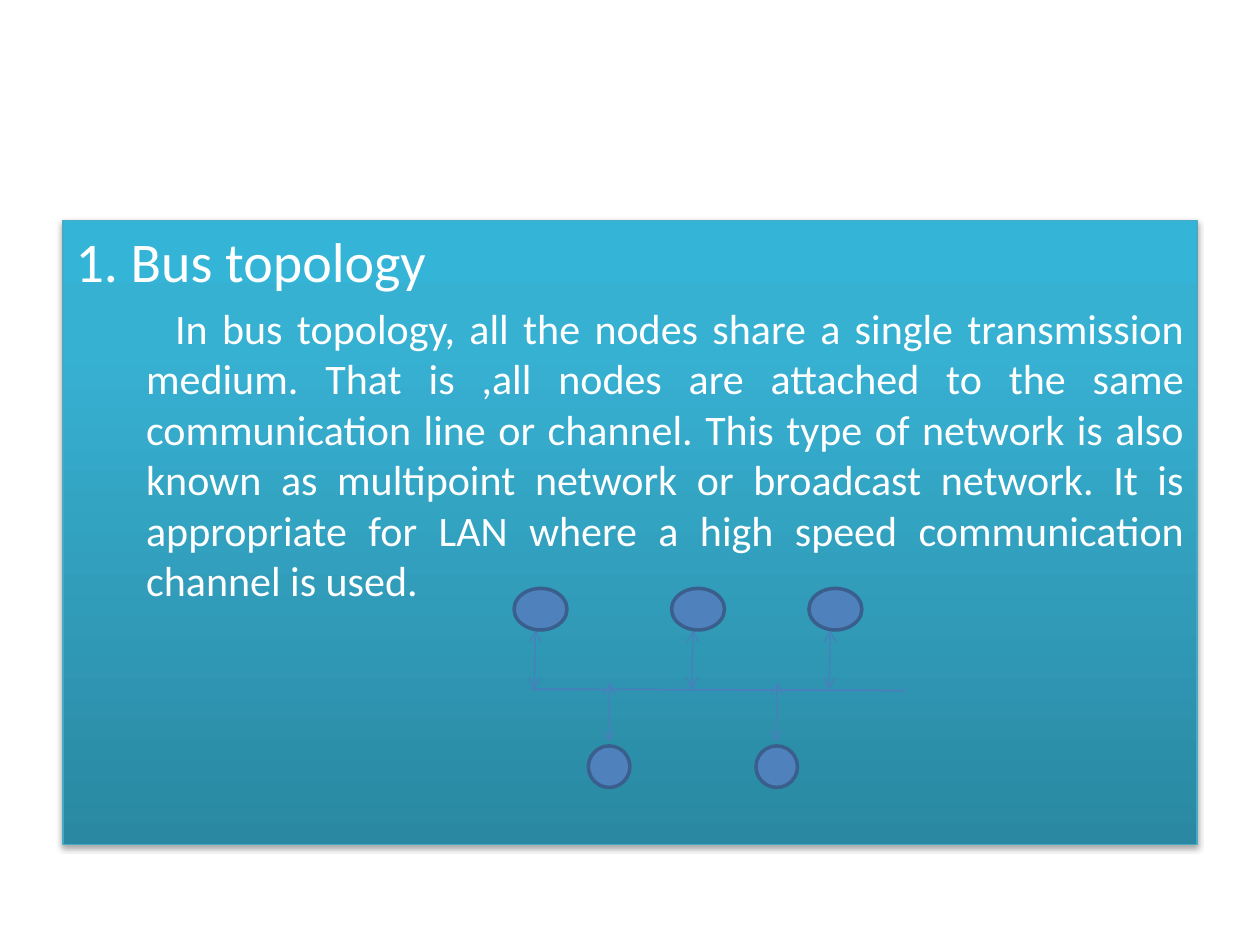
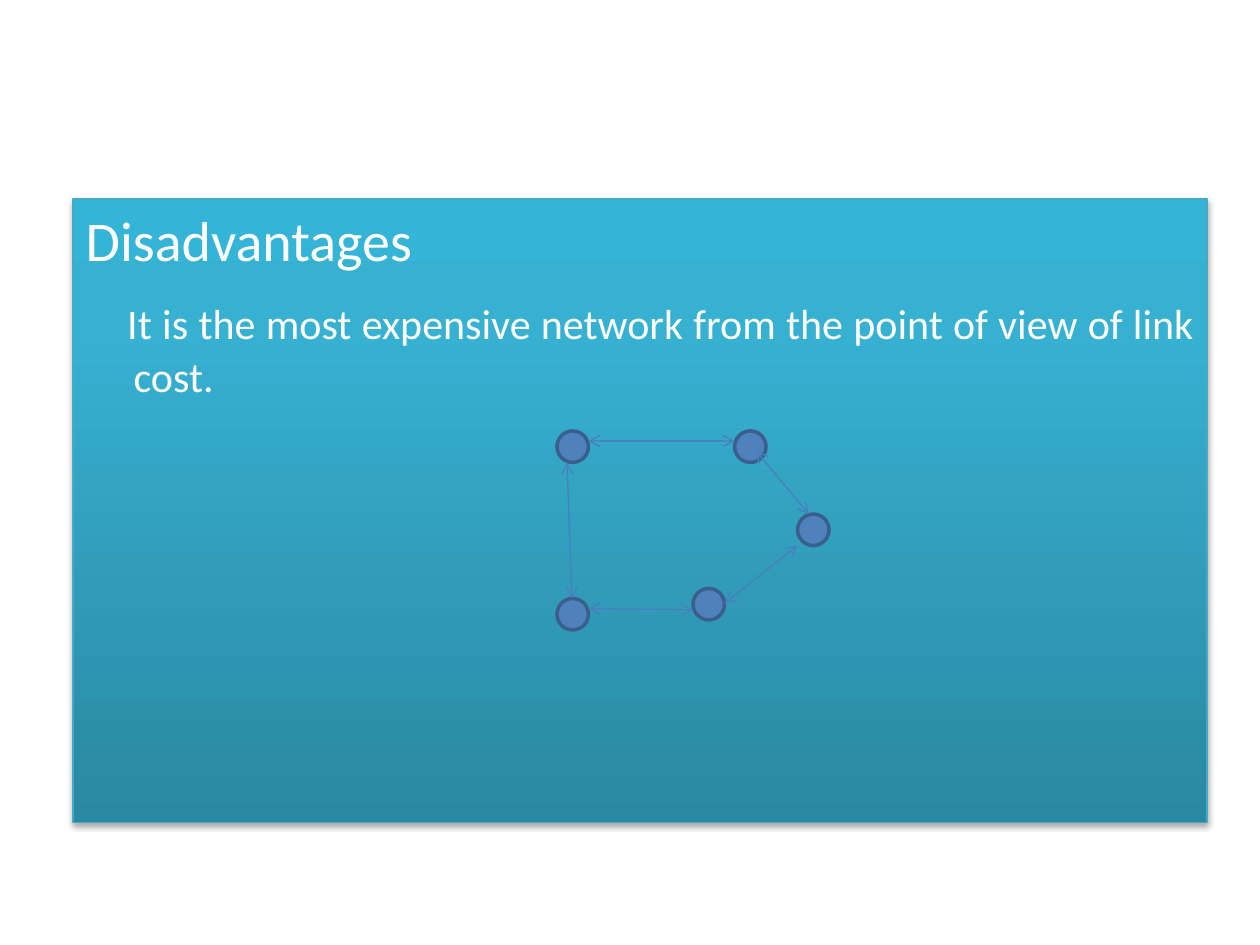
import pptx
import pptx.util
import pptx.dml.color
import pptx.enum.shapes
import pptx.enum.text
import pptx.oxml
import pptx.oxml.ns

Inches = pptx.util.Inches
Pt = pptx.util.Pt
SPACE = pptx.oxml.ns.nsdecls("a")
FULL = pptx.enum.text.PP_ALIGN.JUSTIFY

FONT = "Calibri"
WHITE = "FFFFFF"
NODE = "4F81BD"
RIM = "3A5F8C"
LINK = "4B7EBC"
EDGE = "46AAC5"
SHADES = [(0, "2A88A2"), (80, "37B1D2"), (100, "34B4D6")]
WIDE, TALL = 9, 4.95


def tint(code):
    return pptx.dml.color.RGBColor.from_string(code)


def node(tag, inner="", **attrs):
    text = " ".join(f'{key}="{value}"' for key, value in attrs.items())
    return pptx.oxml.parse_xml(f"<a:{tag} {SPACE} {text}>{inner}</a:{tag}>")


def stroke(line, code, width):
    line.color.rgb = tint(code)
    line.width = Pt(width)


def write(para, text, size, margin, indent, align=None, before=None, lead=None):
    props = para._p.get_or_add_pPr()
    props.set("marL", str(Inches(margin)))
    props.set("indent", str(Inches(indent)))
    para.alignment = align
    if before is not None:
        para.space_before = Pt(before)
    if lead is not None:
        para.line_spacing = lead
    props.append(node("buNone"))
    run = para.add_run()
    run.text = text
    run.font.size = Pt(size)
    run.font.name = FONT
    run.font.color.rgb = tint(WHITE)


def panel(slide, left, top):
    title = slide.shapes.title
    title.element.getparent().remove(title.element)
    body = slide.placeholders[1]
    body.left, body.top = Inches(left), Inches(top)
    body.width, body.height = Inches(WIDE), Inches(TALL)
    stops = "".join(
        f'<a:gs pos="{pos * 1000}"><a:srgbClr val="{code}"/></a:gs>'
        for pos, code in SHADES)
    props = body.element.spPr
    props.append(node("gradFill", f'<a:gsLst>{stops}</a:gsLst><a:lin ang="16200000" scaled="0"/>',
                      rotWithShape=1))
    stroke(body.line, EDGE, 0.75)
    shade = (f'<a:outerShdw blurRad="{Pt(3.1)}" dist="{Pt(1.8)}" dir="5400000" rotWithShape="0">'
             '<a:srgbClr val="000000"><a:alpha val="35000"/></a:srgbClr></a:outerShdw>')
    props.append(node("effectLst", shade))
    return body.text_frame


def dot(slide, left, top, width, height):
    shape = slide.shapes.add_shape(
        pptx.enum.shapes.MSO_SHAPE.FLOWCHART_CONNECTOR,
        Inches(left), Inches(top), Inches(width), Inches(height))
    shape.shadow.inherit = False
    shape.fill.solid()
    shape.fill.fore_color.rgb = tint(NODE)
    stroke(shape.line, RIM, 2)


def link(slide, start, end, heads=True, width=0.75):
    wire = slide.shapes.add_connector(
        pptx.enum.shapes.MSO_CONNECTOR.STRAIGHT,
        Inches(start[0]), Inches(start[1]), Inches(end[0]), Inches(end[1]))
    stroke(wire.line, LINK, width)
    if heads:
        for tag in ("headEnd", "tailEnd"):
            wire.line._ln.append(node(tag, type="arrow"))
    wire.element.spPr.append(node("effectLst"))


def bus(slide, left, top):
    link(slide, (left + 0.14, top + 0.8), (left + 3.11, top + 0.81), heads=False, width=1)
    rows = [((0, 1.25, 2.34), 0, 0.42, 0.33), ((0.59, 1.92), 1.25, 0.33, 0.75)]
    for spots, drop, width, start in rows:
        for spot in spots:
            mid = left + spot + 0.17
            link(slide, (mid, top + start), (mid - 0.01, top + start + 0.47))
            dot(slide, left + spot, top + drop, width, 0.33)


def ring(slide, left, top):
    for x, y in [(0, 0), (1.41, 0), (0, 1.33), (1.91, 0.66), (1.08, 1.25)]:
        dot(slide, left + x, top + y, 0.25, 0.25)
    wires = [(0.25, 0.08, 1.41, 0.08), (0.08, 0.25, 0.12, 1.33),
             (0.25, 1.41, 1.08, 1.42), (1.58, 0.16, 2, 0.66),
             (1.33, 1.37, 1.91, 0.91)]
    for x, y, far, low in wires:
        link(slide, (left + x, top + y), (left + far, top + low))


def bus_slide(deck, left, top):
    slide = deck.slides.add_slide(deck.slide_layouts[1])
    frame = panel(slide, left, top)
    write(frame.paragraphs[0], "1. Bus topology", 32, 0.56, -0.56, FULL)
    write(frame.add_paragraph(),
          "In bus topology, all the nodes share a single transmission medium. "
          "That is ,all nodes are attached to the same communication line or channel. "
          "This type of network is also known as multipoint network or broadcast network. "
          "It is appropriate for LAN where a high speed communication channel is used.",
          24, 0.56, 0.23, FULL)
    bus(slide, left + 3.58, top + 2.92)


def cost_slide(deck, left, top):
    slide = deck.slides.add_slide(deck.slide_layouts[1])
    frame = panel(slide, left, top)
    write(frame.paragraphs[0], "Disadvantages", 32, 0.38, -0.38)
    write(frame.add_paragraph(),
          "It is the most expensive network from the point of view of link cost.",
          24, 0.38, -0.05, FULL, before=13, lead=1.05)
    ring(slide, left + 3.84, top + 1.84)


deck = pptx.Presentation()
deck.slide_width, deck.slide_height = Inches(10), Inches(7.5)
bus_slide(deck, 0.5, 1.75)
cost_slide(deck, 0.58, 1.58)
deck.save("out.pptx")
